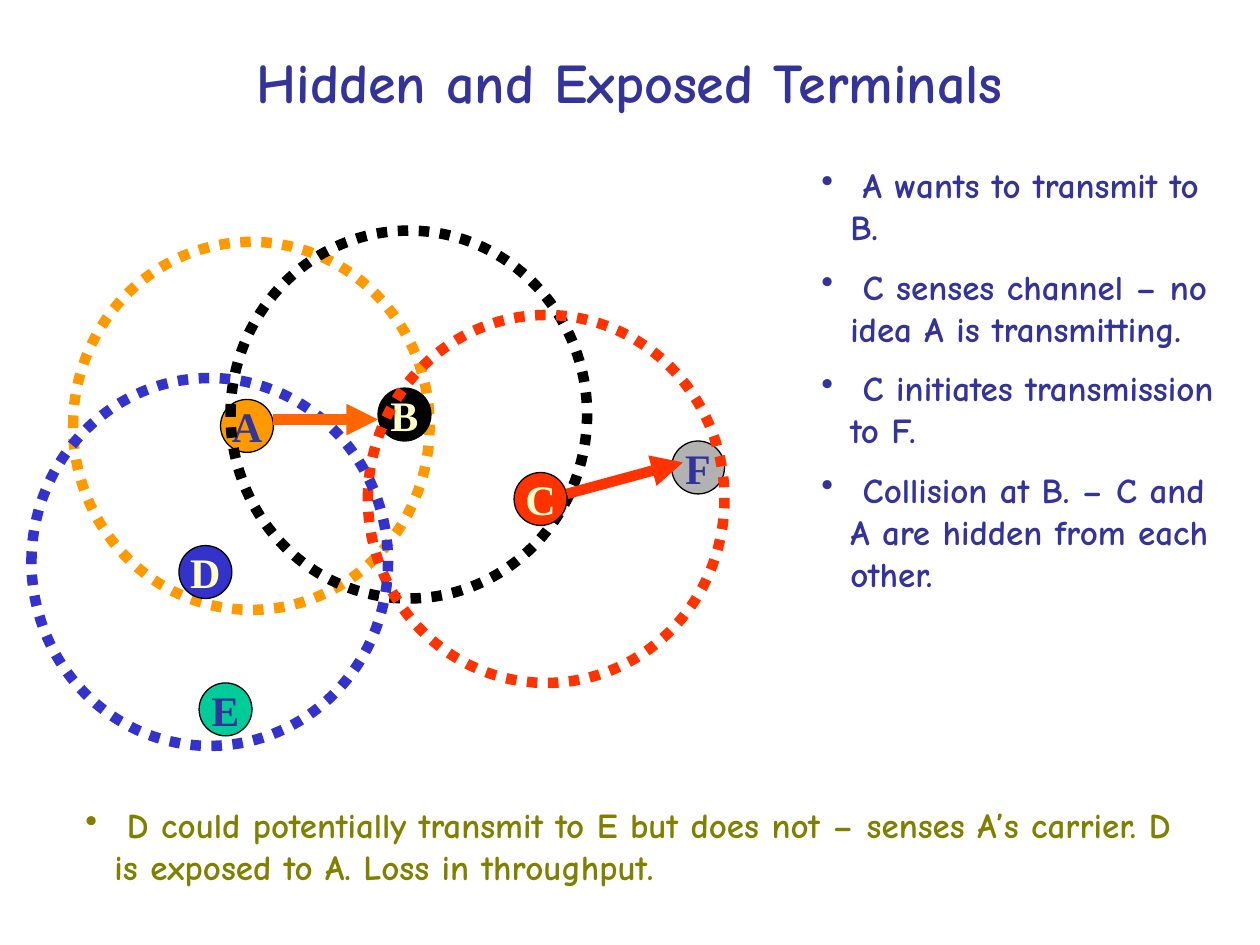
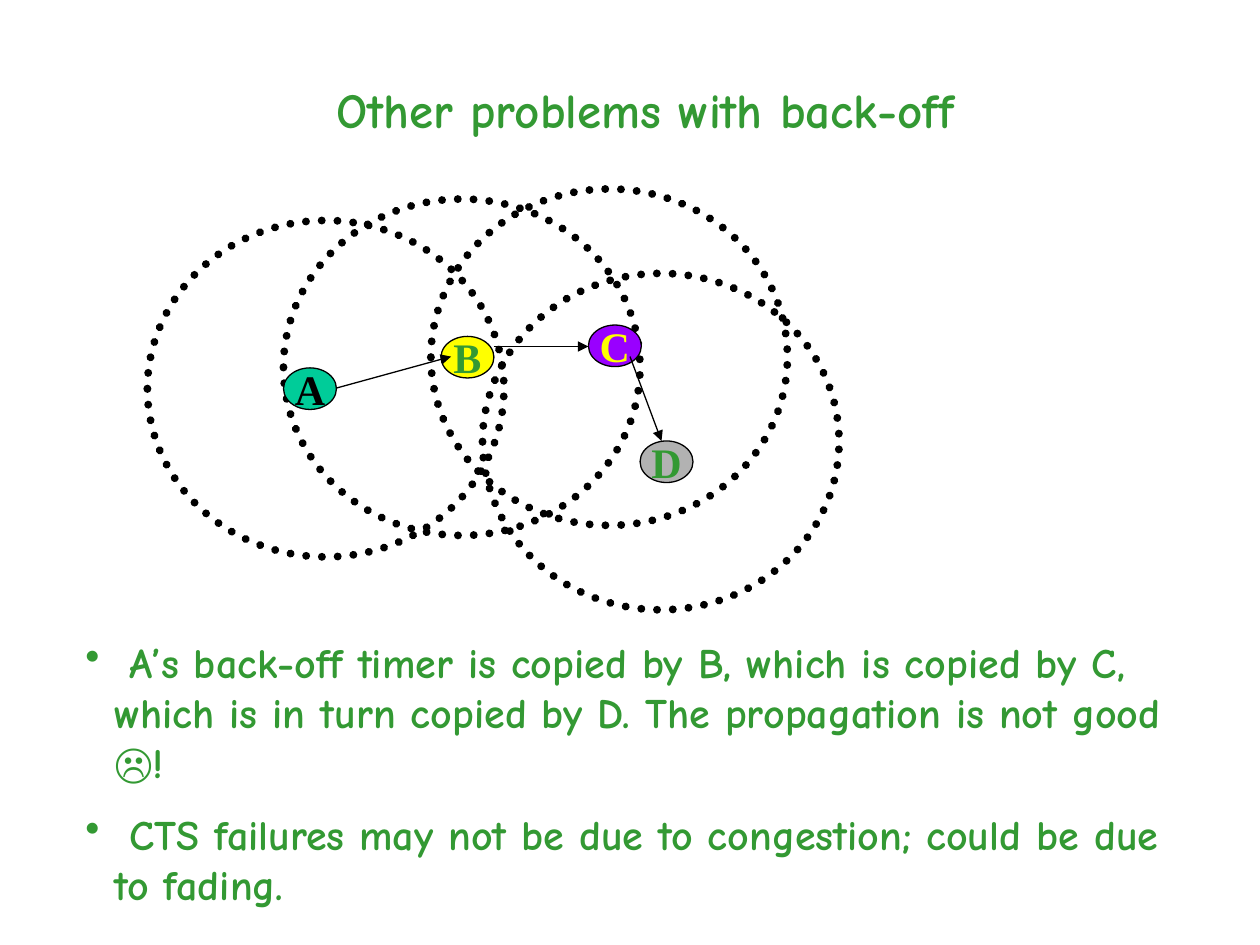
from dataclasses import dataclass

from lxml.etree import SubElement
from pptx import Presentation
from pptx.dml.color import RGBColor
from pptx.enum.dml import MSO_LINE
from pptx.enum.shapes import MSO_CONNECTOR, MSO_SHAPE
from pptx.enum.text import MSO_ANCHOR, MSO_AUTO_SIZE, PP_ALIGN
from pptx.oxml.ns import qn
from pptx.slide import Slide
from pptx.util import Inches, Pt

HUES = {
    "navy": "333399",
    "orange": "FF9900",
    "amber": "FF6600",
    "black": "000000",
    "cream": "FFFFCC",
    "red": "FF3300",
    "blue": "3333CC",
    "gray": "B2B2B2",
    "teal": "00CC99",
    "olive": "808000",
    "green": "339933",
    "yellow": "FFFF00",
    "purple": "9900FF",
}
HAND = "Comic Neue"
SERIF = "Times New Roman"
INDENT = Inches(0.23)


@dataclass
class Node:
    name: str
    left: float
    top: float
    fill: str
    ink: str
    high: float = 0.42
    wide: float = 0.42


@dataclass
class Ring:
    left: float
    top: float
    hue: str
    high: float = 2.92
    width: float = 6
    cap: str = "flat"
    wide: float = 2.83


@dataclass
class Arrow:
    start: tuple[float, float]
    end: tuple[float, float]
    hue: str
    width: float


@dataclass
class Words:
    box: tuple[float, float, float, float]
    lines: list[str]
    size: int
    hue: str
    listed: bool = True
    gap: bool = True


def color(name: str) -> RGBColor:
    return RGBColor.from_string(HUES[name])


def style(para, face: str, size: int, hue: str) -> None:
    font = para.font
    font.name, font.size, font.bold = face, Pt(size), True
    font.color.rgb = color(hue)


def oval(slide: Slide, item: Node | Ring):
    box = (item.left, item.top, item.wide, item.high)
    shape = slide.shapes.add_shape(MSO_SHAPE.OVAL, *map(Inches, box))
    shape.shadow.inherit = False
    return shape


def draw_node(slide: Slide, node: Node) -> None:
    shape = oval(slide, node)
    shape.fill.solid()
    shape.fill.fore_color.rgb = color(node.fill)
    shape.line.color.rgb = color("black")
    shape.line.width = Pt(0.75)
    frame = shape.text_frame
    frame.word_wrap = False
    frame.vertical_anchor = MSO_ANCHOR.MIDDLE
    frame.text = node.name
    para = frame.paragraphs[0]
    para.alignment = PP_ALIGN.CENTER
    style(para, SERIF, 24, node.ink)


def draw_ring(slide: Slide, ring: Ring) -> None:
    shape = oval(slide, ring)
    shape.fill.background()
    shape.line.color.rgb = color(ring.hue)
    shape.line.width = Pt(ring.width)
    shape.line.dash_style = MSO_LINE.ROUND_DOT
    shape.element.spPr.find(qn("a:ln")).set("cap", ring.cap)


def draw_arrow(slide: Slide, arrow: Arrow) -> None:
    ends = map(Inches, arrow.start + arrow.end)
    link = slide.shapes.add_connector(MSO_CONNECTOR.STRAIGHT, *ends)
    link.line.color.rgb = color(arrow.hue)
    link.line.width = Pt(arrow.width)
    props = link.element.spPr
    SubElement(props.find(qn("a:ln")), qn("a:tailEnd"), type="triangle")
    SubElement(props, qn("a:effectLst"))


def draw_words(slide: Slide, words: Words) -> None:
    frame = slide.shapes.add_textbox(*map(Inches, words.box)).text_frame
    frame.word_wrap = True
    frame.auto_size = MSO_AUTO_SIZE.SHAPE_TO_FIT_TEXT
    frame.text = "\n".join(words.lines)
    for para in frame.paragraphs:
        style(para, HAND, words.size, words.hue)
        if words.gap:
            para.space_before = Pt(words.size / 2)
        if words.listed:
            props = para._p.get_or_add_pPr()
            props.set("marL", str(INDENT))
            props.set("indent", str(-INDENT))
            SubElement(props, qn("a:buChar"), char="•")
        else:
            para.alignment = PP_ALIGN.CENTER


TOOLS = {Node: draw_node, Ring: draw_ring, Arrow: draw_arrow, Words: draw_words}


def hop(start: tuple[float, float], end: tuple[float, float]) -> Arrow:
    return Arrow(start, end, "black", 0.75)


def dots(left: float, top: float) -> Ring:
    return Ring(left, top, "black", 2.67, 4.5, "rnd")


HIDDEN = [
    Words((1, 0.33, 8, 0.63), ["Hidden and Exposed Terminals"], 32, "navy", False, False),
    Words((6.42, 1.25, 3.33, 3.93), [
        " A wants to transmit to B.",
        " C senses channel – no idea A is transmitting.",
        " C initiates transmission to F.",
        " Collision at B. – C and A are hidden from each other.",
    ], 20, "navy"),
    Node("A", 1.75, 3.17, "orange", "navy"),
    Ring(0.58, 1.92, "orange"),
    Node("B", 3, 3.08, "black", "cream"),
    Ring(1.83, 1.83, "black"),
    Node("C", 4.08, 3.75, "red", "cream"),
    Node("D", 1.42, 4.33, "blue", "cream"),
    Node("F", 5.33, 3.5, "gray", "navy"),
    Node("E", 1.58, 5.42, "teal", "navy"),
    Ring(2.92, 2.5, "red"),
    Ring(0.25, 3, "blue"),
    Arrow((2.17, 3.33), (3, 3.33), "amber", 6),
    Arrow((4.5, 3.92), (5.42, 3.67), "red", 6),
    Words((0.58, 6.33, 8.92, 0.77), [
        " D could potentially transmit to E but does not – senses A’s carrier. "
        "D is exposed to A. Loss in throughput.",
    ], 20, "olive"),
]

BACKOFF = [
    Words((1.58, 0.58, 7.08, 0.57), ["Other problems with back-off"], 28, "green", False),
    dots(1.17, 1.75),
    dots(3.83, 2.17),
    dots(3.42, 1.5),
    dots(2.25, 1.58),
    Node("A", 2.25, 2.92, "teal", "black", 0.33),
    Node("B", 3.5, 2.67, "yellow", "green", 0.33),
    Node("C", 4.67, 2.58, "purple", "yellow", 0.33),
    Node("D", 5.08, 3.5, "gray", "green", 0.33),
    hop((2.67, 3.08), (3.58, 2.83)),
    hop((3.92, 2.75), (4.67, 2.75)),
    hop((5, 2.83), (5.25, 3.5)),
    Words((0.58, 5, 8.92, 2.3), [
        " A’s back-off timer is copied by B, which is copied by C, "
        "which is in turn copied by D. The propagation is not good ☹!",
        " CTS failures may not be due to congestion; could be due to fading.",
    ], 24, "green"),
]


def main() -> None:
    deck = Presentation()
    deck.slide_width, deck.slide_height = Inches(10), Inches(7.5)
    for items in (HIDDEN, BACKOFF):
        slide = deck.slides.add_slide(deck.slide_layouts[6])
        for item in items:
            TOOLS[type(item)](slide, item)
    deck.save("out.pptx")


main()
